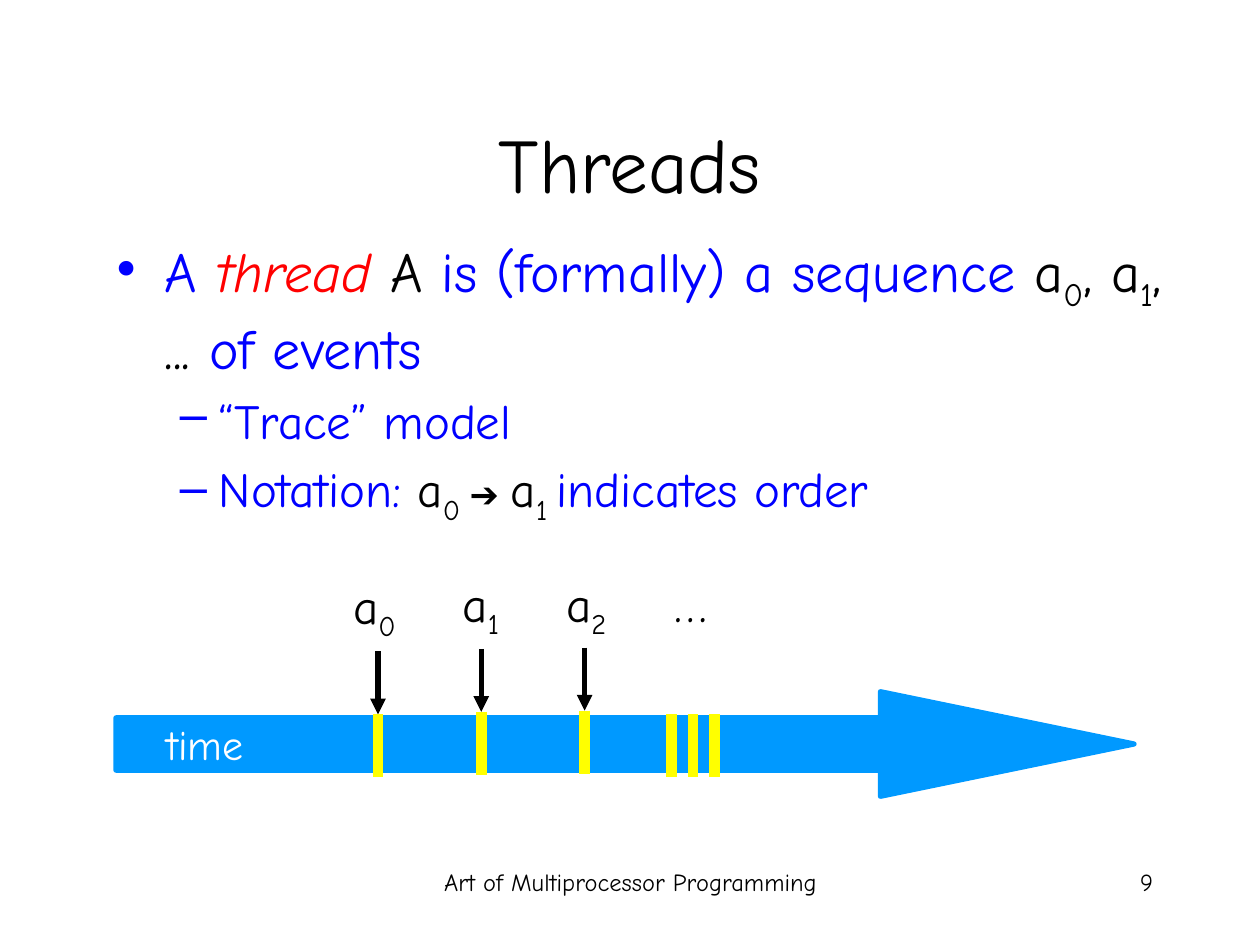
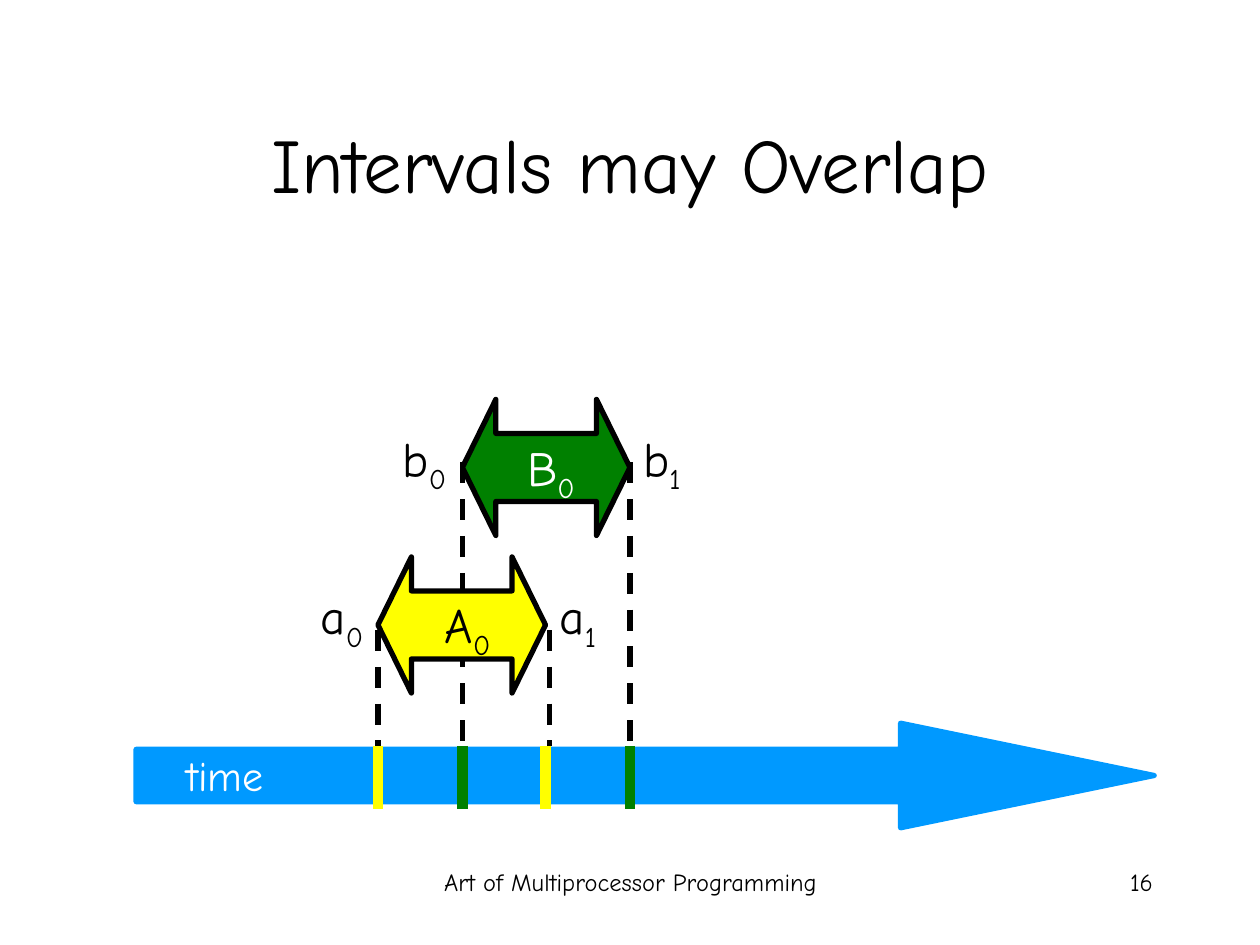
from dataclasses import dataclass

from lxml.etree import SubElement
from pptx import Presentation
from pptx.dml.color import RGBColor
from pptx.enum.dml import MSO_LINE_DASH_STYLE as Dash
from pptx.enum.shapes import MSO_CONNECTOR as Connector, MSO_SHAPE as Shape
from pptx.enum.text import MSO_ANCHOR as Anchor, MSO_AUTO_SIZE as AutoSize, PP_ALIGN as Align
from pptx.oxml.ns import qn
from pptx.util import Inches, Pt


@dataclass(frozen=True)
class Theme:
    font: str = "Comic Neue"
    black: str = "000000"
    white: str = "FFFFFF"
    blue: str = "0000FF"
    red: str = "FF0000"
    sky: str = "0099FF"
    yellow: str = "FFFF00"
    green: str = "008000"
    title_size: int = 44
    body_size: int = 32
    label_size: int = 28
    time_size: int = 24
    symbol_size: int = 20
    footer_size: int = 14
    line_width: int = 3
    mark_width: int = 6
    mark_height: float = 0.5


THEME = Theme()
FOOTER = "Art of Multiprocessor Programming"


@dataclass(frozen=True)
class Span:
    text: str
    color: str = THEME.black
    size: int = THEME.label_size
    italic: bool = False
    subscript: bool = False


class SlideBuilder:
    """Holds the theme and the current page, and draws on that page."""

    def __init__(self, deck, theme):
        self.deck = deck
        self.theme = theme
        self.page = None

    # Text
    def add_spans(self, para, spans, align=Align.LEFT):
        para.alignment = align
        for span in spans:
            run = para.add_run()
            run.text = span.text
            font = run.font
            font.name = self.theme.font
            font.size = Pt(span.size)
            font.italic = span.italic
            font.color.rgb = RGBColor.from_string(span.color)
            if span.subscript:
                font._element.set("baseline", "-25000")

    def text(self, left, top, width, height, spans, align=Align.RIGHT, wrap=False):
        box = self.page.shapes.add_textbox(
            Inches(left), Inches(top), Inches(width), Inches(height))
        frame = box.text_frame
        frame.word_wrap = wrap
        frame.auto_size = AutoSize.NONE if wrap else AutoSize.SHAPE_TO_FIT_TEXT
        self.add_spans(frame.paragraphs[0], spans, align)
        return box

    def label(self, left, top, width, name, index, color=THEME.black):
        spans = [Span(name, color), Span(index, color, subscript=True)]
        self.text(left, top, width, 0.57, spans)

    def bullets(self, left, top, width, height, items):
        """Each item is (level, spans); the size of the first span sets the gap."""
        box = self.text(left, top, width, height, [], Align.LEFT, wrap=True)
        frame = box.text_frame
        styles = [("•", 0.38, -0.38), ("–", 0.81, -0.31)]
        for number, (level, spans) in enumerate(items):
            para = frame.add_paragraph() if number else frame.paragraphs[0]
            para.level = level
            para.space_before = Pt(spans[0].size * 0.2)
            self.add_spans(para, spans)
            char, margin, indent = styles[level]
            props = para._p.get_or_add_pPr()
            props.set("marL", str(Inches(margin)))
            props.set("indent", str(Inches(indent)))
            SubElement(props, qn("a:buChar")).set("char", char)

    # Shapes and lines
    def shape(self, kind, left, top, width, height, adjustments, fill, line):
        shape = self.page.shapes.add_shape(
            kind, Inches(left), Inches(top), Inches(width), Inches(height))
        shape.shadow.inherit = False
        for number, value in enumerate(adjustments):
            shape.adjustments[number] = value
        shape.fill.solid()
        shape.fill.fore_color.rgb = RGBColor.from_string(fill)
        shape.line.color.rgb = RGBColor.from_string(line)
        shape.line.width = Pt(self.theme.line_width)

    def vertical(self, x, top, bottom, color=THEME.black, width=THEME.line_width,
                 dashed=False, arrow=False):
        line = self.page.shapes.add_connector(
            Connector.STRAIGHT, Inches(x), Inches(top), Inches(x), Inches(bottom))
        line.line.color.rgb = RGBColor.from_string(color)
        line.line.width = Pt(width)
        if dashed:
            line.line.dash_style = Dash.DASH
        if arrow:
            outline = line._element.spPr.find(qn("a:ln"))
            SubElement(outline, qn("a:tailEnd")).set("type", "triangle")
        SubElement(line._element.spPr, qn("a:effectLst"))

    def mark(self, x, top, color):
        self.vertical(x, top, top + self.theme.mark_height, color, self.theme.mark_width)

    # Parts shared by the slides
    def new_page(self, title, number):
        theme = self.theme
        self.page = self.deck.slides.add_slide(self.deck.slide_layouts[5])
        holder = self.page.shapes.title
        holder.left, holder.top = Inches(0.75), Inches(0.67)
        holder.width, holder.height = Inches(8.5), Inches(1.25)
        frame = holder.text_frame
        frame.vertical_anchor = Anchor.MIDDLE
        frame.auto_size = AutoSize.NONE
        self.add_spans(frame.paragraphs[0], [Span(title, size=theme.title_size)],
                       Align.CENTER)
        for left, width, words, align in [(3.42, 3.17, FOOTER, Align.CENTER),
                                          (7.17, 2.08, str(number), Align.RIGHT)]:
            self.text(left, 6.83, width, 0.5, [Span(words, size=theme.footer_size)],
                      align, wrap=True)

    def time_arrow(self, left, top):
        theme = self.theme
        self.shape(Shape.RIGHT_ARROW, left, top, 8.08, 0.83, [0.5, 2.425],
                   theme.sky, theme.sky)
        self.text(left + 0.22, top + 0.16, 0.89, 0.5,
                  [Span("time", theme.white, theme.time_size)])

    def interval(self, left, top, fill):
        self.shape(Shape.LEFT_RIGHT_ARROW, left, top, 1.33, 1.08, [0.5, 0.246],
                   fill, self.theme.black)


def threads_page(builder):
    theme = builder.theme
    builder.new_page("Threads", 9)
    builder.time_arrow(0.92, 5.49)

    # Definition
    large, blue = theme.body_size, theme.blue
    builder.bullets(0.83, 1.83, 8.5, 3.58, [
        (0, [Span("A ", blue, large),
             Span("thread ", theme.red, large, italic=True),
             Span("A", size=large),
             Span(" is (formally) a sequence ", blue, large),
             Span("a", size=large),
             Span("0", size=large, subscript=True),
             Span(", a", size=large),
             Span("1", size=large, subscript=True),
             Span(", ... ", size=large),
             Span("of events", blue, large)]),
        (1, [Span("“Trace” model", blue)]),
        (1, [Span("Notation: ", blue),
             Span("a"),
             Span("0 ", subscript=True),
             Span("➔ ", size=theme.symbol_size),
             Span("a"),
             Span("1 ", subscript=True),
             Span("indicates order", blue)]),
    ])

    # Events: x, top of the pointer, then left, top and width of the label
    events = [(3, 5.17, 2.68, 4.52, 0.56),
              (3.82, 5.15, 3.54, 4.5, 0.52),
              (4.64, 5.14, 4.35, 4.5, 0.56)]
    for index, (x, top, left, label_top, width) in enumerate(events):
        builder.vertical(x, top, top + 0.5, arrow=True)
        builder.mark(x, top + 0.5, theme.yellow)
        builder.label(left, label_top, width, "a", str(index))

    # Later events
    for step in range(3):
        builder.mark(5.33 + 0.17 * step, 5.67, theme.yellow)
    builder.text(5.25, 4.5, 0.46, 0.57, [Span("…")])


def overlap_page(builder):
    theme = builder.theme
    builder.new_page("Intervals may Overlap", 16)
    builder.time_arrow(1.08, 5.74)

    # Drop lines, behind the intervals
    for x, top, bottom in [(3.67, 3.67, 6.42), (5, 3.67, 6.42),
                           (3, 5, 5.92), (4.36, 5, 5.92)]:
        builder.vertical(x, top, bottom, dashed=True)

    # Interval A
    builder.interval(3, 4.42, theme.yellow)
    builder.label(2.42, 4.6, 0.56, "a", "0")
    builder.label(4.31, 4.6, 0.52, "a", "1")
    builder.label(3.34, 4.67, 0.65, "A", "0")

    # Interval B
    builder.interval(3.67, 3.17, theme.green)
    builder.label(3.05, 3.35, 0.59, "b", "0")
    builder.label(4.95, 3.35, 0.55, "b", "1")
    builder.label(4.05, 3.42, 0.61, "B", "0", theme.white)

    # Start and end marks on the time arrow
    for start, color in [(3, theme.yellow), (3.67, theme.green)]:
        for x in (start, start + 1.33):
            builder.mark(x, 5.92, color)


def main():
    deck = Presentation()
    deck.slide_width, deck.slide_height = Inches(10), Inches(7.5)
    builder = SlideBuilder(deck, THEME)
    threads_page(builder)
    overlap_page(builder)
    deck.save("out.pptx")


if __name__ == "__main__":
    main()
